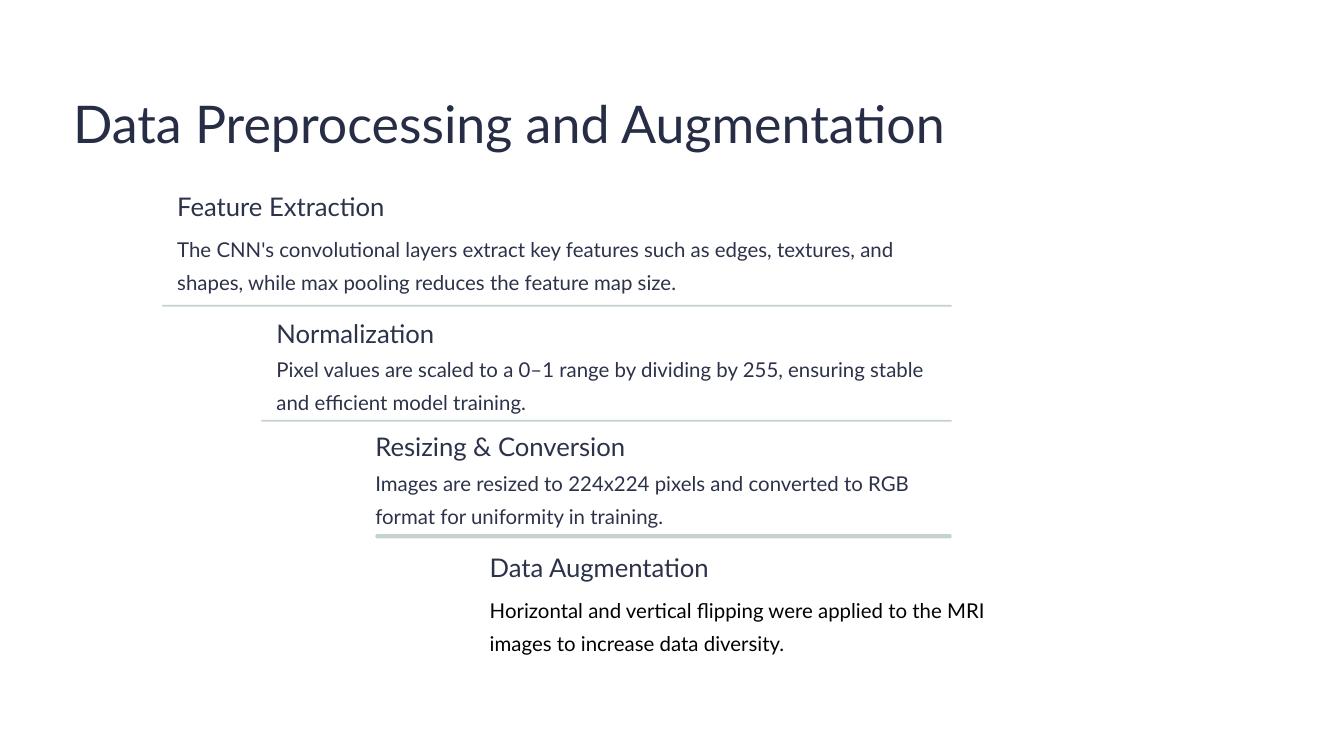
from pptx import Presentation
from pptx.dml.color import RGBColor
from pptx.enum.shapes import MSO_SHAPE
from pptx.enum.text import MSO_ANCHOR, MSO_AUTO_SIZE, PP_ALIGN
from pptx.util import Cm, Pt

NAVY = "272D45"
SLATE = "2C3249"
SAGE = "C5D2CF"
RULE_RIGHT = 28.78


def color(hex_value):
    return RGBColor.from_string(hex_value)


def write(holder, box, text, size, spacing, hex_value):
    holder.left, holder.top, holder.width, holder.height = [Cm(v) for v in box]
    frame = holder.text_frame
    frame.margin_left = frame.margin_right = frame.margin_top = frame.margin_bottom = 0
    frame.word_wrap = True
    frame.auto_size = MSO_AUTO_SIZE.NONE
    frame.vertical_anchor = MSO_ANCHOR.TOP
    paragraph = frame.paragraphs[0]
    paragraph.alignment = PP_ALIGN.LEFT
    paragraph.line_spacing = Pt(spacing)
    paragraph.space_before = Pt(0)
    run = paragraph.add_run()
    run.text = text
    run.font.name = "Lato"
    run.font.size = Pt(size)
    run.font.color.rgb = color(hex_value)


deck = Presentation()
deck.slide_width, deck.slide_height = Cm(40.64), Cm(22.86)
slide = deck.slides.add_slide(deck.slide_layouts[5])
slide.background.fill.solid()
slide.background.fill.fore_color.rgb = color("FFFFFF")

write(slide.shapes.title, (2.21, 2.69, 29.29, 1.98),
      "Data Preprocessing and Augmentation", 44.5, 55.5, NAVY)

steps = [
    ("Feature Extraction",
     "The CNN's convolutional layers extract key features such as edges, textures, and shapes, "
     "while max pooling reduces the feature map size.",
     5.36, 5.72, 6.91, 22.94, SLATE),
    ("Normalization",
     "Pixel values are scaled to a 0–1 range by dividing by 255, ensuring stable and efficient "
     "model training.",
     8.36, 9.58, 10.54, 19.94, SLATE),
    ("Resizing & Conversion",
     "Images are resized to 224x224 pixels and converted to RGB format for uniformity in training.",
     11.35, 12.98, 13.97, 16.94, SLATE),
    ("Data Augmentation",
     "Horizontal and vertical flipping were applied to the MRI images to increase data diversity.",
     14.81, 16.66, 17.81, 16.94, "000000"),
]
for heading, detail, left, heading_top, detail_top, detail_width, detail_color in steps:
    write(slide.shapes.add_textbox(0, 0, 0, 0), (left, heading_top, 7.87, 0.99),
          heading, 22, 27.5, SLATE)
    write(slide.shapes.add_textbox(0, 0, 0, 0), (left, detail_top, detail_width, 2.01),
          detail, 17.5, 28.5, detail_color)

for left, top, thickness in [(4.9, 9.22, 0.05), (7.9, 12.7, 0.05), (11.35, 16.15, 0.13)]:
    divider = slide.shapes.add_shape(MSO_SHAPE.ROUNDED_RECTANGLE, Cm(left), Cm(top),
                                     Cm(RULE_RIGHT - left), Cm(thickness))
    divider.adjustments[0] = 0.5
    divider.shadow.inherit = False
    divider.fill.solid()
    divider.fill.fore_color.rgb = color(SAGE)
    divider.line.fill.background()

deck.save("out.pptx")
